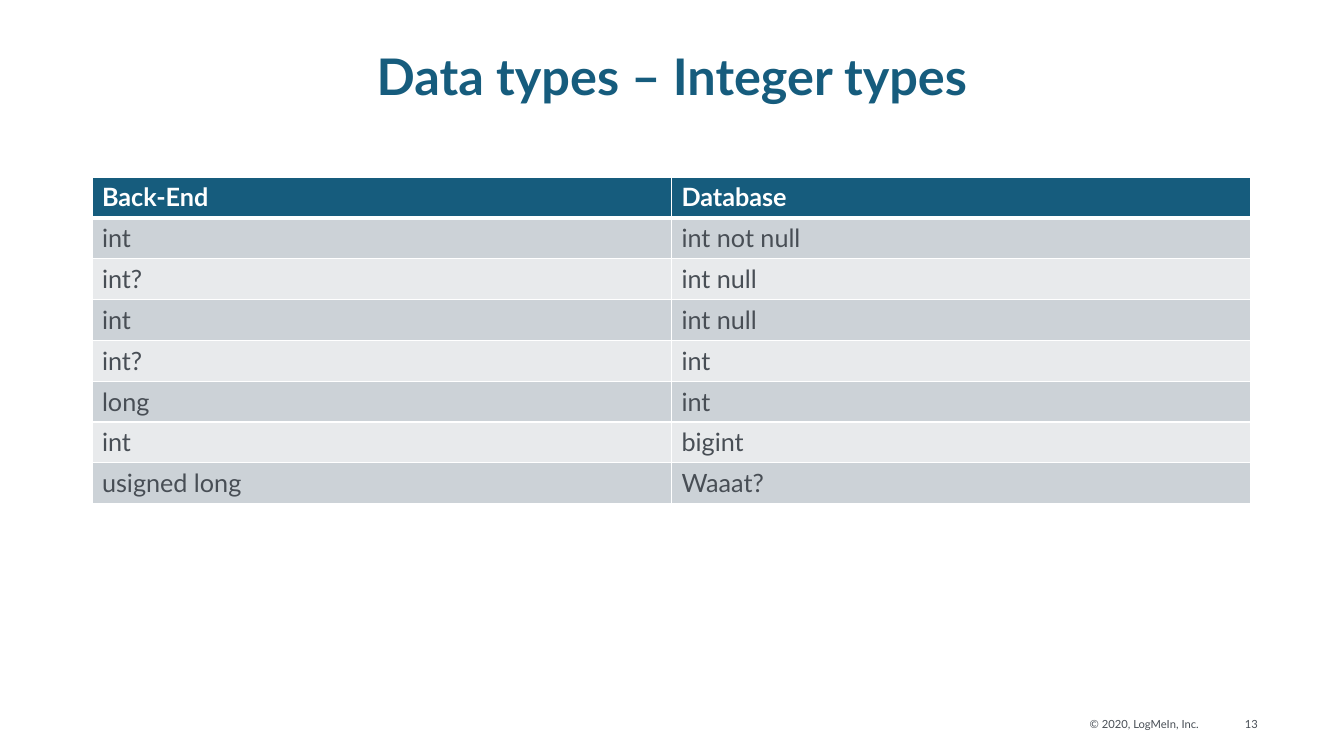
from lxml import etree
from pptx import Presentation
from pptx.dml.color import RGBColor
from pptx.enum.text import PP_ALIGN
from pptx.oxml.ns import qn
from pptx.util import Pt

TITLE = "Data types – Integer types"
COPYRIGHT = "© 2020, LogMeIn, Inc."
PAGE_NUMBER = "13"
TYPE_PAIRS = [
    ("Back-End", "Database"),
    ("int", "int not null"),
    ("int?", "int null"),
    ("int", "int null"),
    ("int?", "int"),
    ("long", "int"),
    ("int", "bigint"),
    ("usigned long", "Waaat?"),
]

LEFT, CENTER, RIGHT = PP_ALIGN.LEFT, PP_ALIGN.CENTER, PP_ALIGN.RIGHT
TEAL = RGBColor(0x16, 0x5C, 0x7D)
SLATE = RGBColor(0x48, 0x4E, 0x55)
WHITE = RGBColor(0xFF, 0xFF, 0xFF)
BANDS = (RGBColor(0xE8, 0xEA, 0xEC), RGBColor(0xCC, 0xD2, 0xD7))
FONT = "Lato"

SLIDE_SIZE = (1344, 756)
TITLE_BOX = (92, 40, 1160, 130)
TABLE_BOX = (92, 177, 1159, 327)
COPYRIGHT_BOX = (1079, 712, 130, 24)
PAGE_BOX = (1235, 712, 33, 24)
THIN, THICK = 1, 3


def px(length):
    return round(length * 914400 / 100.8)


def write(frame, text, size, color, bold=False, align=LEFT):
    paragraph = frame.paragraphs[0]
    paragraph.text = text
    paragraph.alignment = align
    font = paragraph.font
    font.name, font.size, font.bold = FONT, Pt(size), bold
    font.color.rgb = color


def add_text(slide, box, text, size, color, bold=False, align=LEFT, wrap=False):
    frame = slide.shapes.add_textbox(*map(px, box)).text_frame
    frame.word_wrap = wrap
    write(frame, text, size, color, bold, align)


def set_borders(cell, top, bottom):
    properties = cell._tc.get_or_add_tcPr()
    for side, width in (("L", THIN), ("R", THIN), ("T", top), ("B", bottom)):
        line = etree.SubElement(properties, qn(f"a:ln{side}"), w=str(Pt(width)))
        fill = etree.SubElement(line, qn("a:solidFill"))
        etree.SubElement(fill, qn("a:srgbClr"), val=str(WHITE))


def add_type_table(slide):
    row_count, column_count = len(TYPE_PAIRS), len(TYPE_PAIRS[0])
    table = slide.shapes.add_table(
        row_count, column_count, *map(px, TABLE_BOX)
    ).table
    for row in table.rows:
        row.height = px(TABLE_BOX[3] / row_count)
    for r, pair in enumerate(TYPE_PAIRS):
        header = r == 0
        for c, type_name in enumerate(pair):
            cell = table.cell(r, c)
            set_borders(cell, THICK if r == 1 else THIN, THICK if header else THIN)
            cell.fill.solid()
            cell.fill.fore_color.rgb = TEAL if header else BANDS[r % 2]
            write(cell.text_frame, type_name, 18, WHITE if header else SLATE, header)


def main():
    deck = Presentation()
    deck.slide_width, deck.slide_height = map(px, SLIDE_SIZE)
    slide = deck.slides.add_slide(deck.slide_layouts[6])
    add_text(slide, PAGE_BOX, PAGE_NUMBER, 8, SLATE, align=CENTER)
    add_text(slide, COPYRIGHT_BOX, COPYRIGHT, 8, SLATE, align=RIGHT)
    add_text(slide, TITLE_BOX, TITLE, 36, TEAL, True, CENTER, True)
    add_type_table(slide)
    deck.save("out.pptx")


if __name__ == "__main__":
    main()
